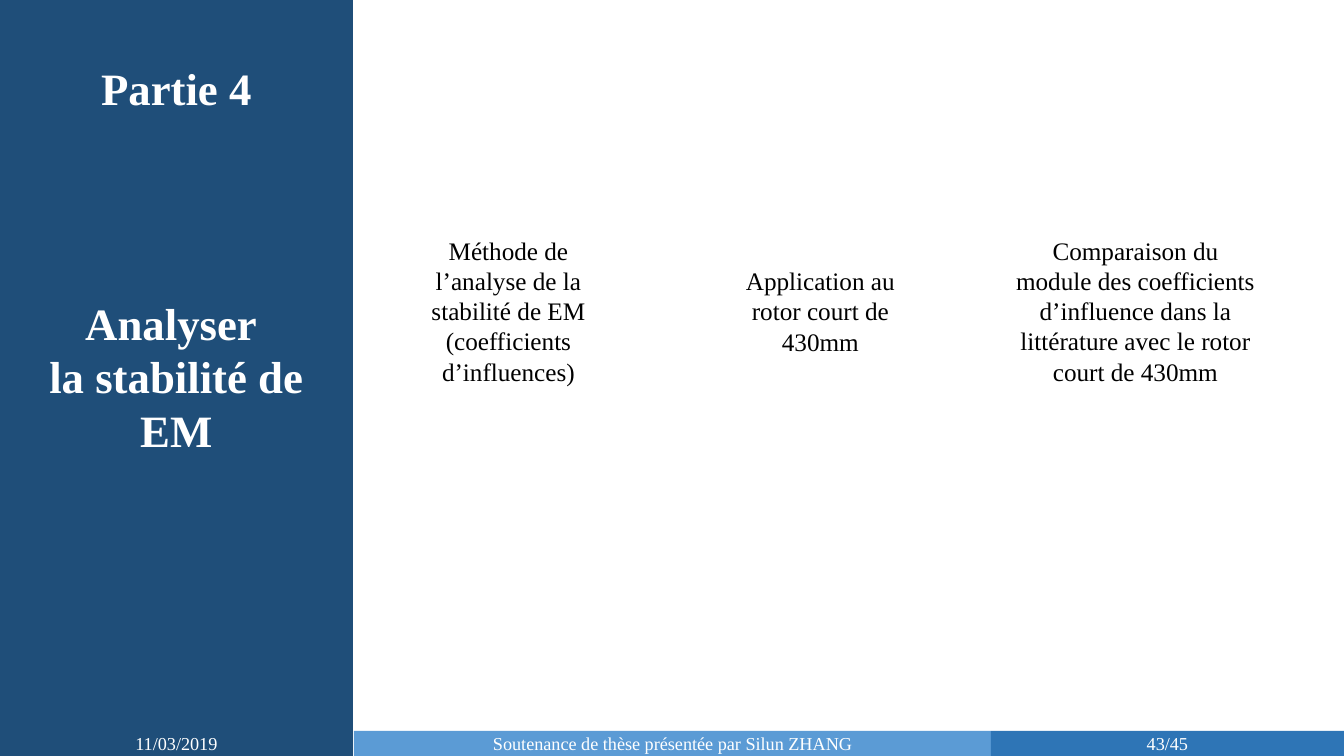
from dataclasses import dataclass

from pptx import Presentation
from pptx.dml.color import RGBColor
from pptx.enum.shapes import MSO_SHAPE
from pptx.enum.text import MSO_ANCHOR, MSO_AUTO_SIZE, PP_ALIGN
from pptx.util import Cm, Pt


@dataclass(frozen=True)
class Theme:
    font: str = "Times New Roman"
    navy: str = "1F4E79"
    blue: str = "2E75B6"
    sky: str = "5B9BD5"
    white: str = "FFFFFF"
    black: str = "000000"
    title: int = 32
    body: int = 18
    footer: int = 13


@dataclass(frozen=True)
class Box:
    left: float
    top: float
    width: float
    height: float

    def lengths(self):
        return Cm(self.left), Cm(self.top), Cm(self.width), Cm(self.height)


THEME = Theme()
PAGE = Box(0, 0, 33.87, 19.05)
SIDEBAR_WIDTH = 8.89
FOOTER_HEIGHT = 0.63


def write(tf, paragraphs, size, color, bold=False):
    for i, text in enumerate(paragraphs):
        p = tf.paragraphs[0] if i == 0 else tf.add_paragraph()
        p.alignment = PP_ALIGN.CENTER
        for j, line in enumerate(text.split("\n")):
            if j:
                p.add_line_break()
            r = p.add_run()
            r.text = line
            r.font.name = THEME.font
            r.font.size = Pt(size)
            r.font.bold = bold
            r.font.color.rgb = RGBColor.from_string(color)


def add_text(slide, box, paragraphs, size, color, bold=False, wrap=True):
    tf = slide.shapes.add_textbox(*box.lengths()).text_frame
    tf.word_wrap = wrap
    tf.auto_size = MSO_AUTO_SIZE.SHAPE_TO_FIT_TEXT
    write(tf, paragraphs, size, color, bold)


def add_bar(slide, box, color):
    sp = slide.shapes.add_shape(MSO_SHAPE.RECTANGLE, *box.lengths())
    sp.shadow.inherit = False
    sp.fill.solid()
    sp.fill.fore_color.rgb = RGBColor.from_string(color)
    sp.line.fill.background()
    return sp


def add_sidebar(slide, box):
    sp = add_bar(slide, box, THEME.navy)
    sp.line.color.rgb = RGBColor.from_string(THEME.navy)
    sp.line.width = Pt(1)
    margin = 0.18
    title = Box(box.left + margin, box.top + 7.32, box.width - 2 * margin, 4.37)
    add_text(slide, title, ["Analyser ", "la stabilité de EM"],
             THEME.title, THEME.white, bold=True)
    width = 4.34
    part = Box(box.left + (box.width - width) / 2, box.top + 1.4, width, 1.63)
    add_text(slide, part, ["Partie 4"], THEME.title, THEME.white,
             bold=True, wrap=False)


def add_footer(slide, box):
    split = 24.97
    gap = 0.03
    middle = SIDEBAR_WIDTH + gap
    cells = [
        (0, SIDEBAR_WIDTH, THEME.navy, "11/03/2019"),
        (middle, split - middle, THEME.sky,
         "Soutenance de thèse présentée par Silun ZHANG"),
        (split, box.width - split, THEME.blue, "43/45"),
    ]
    for offset, width, color, text in cells:
        cell = Box(box.left + offset, box.top, width, box.height)
        tf = add_bar(slide, cell, color).text_frame
        tf.margin_top = tf.margin_bottom = 0
        tf.vertical_anchor = MSO_ANCHOR.MIDDLE
        write(tf, [text], THEME.footer, THEME.white)


def add_topics(slide, box):
    topics = [
        (1.4, 5.05, 4.11, ["Méthode de l’analyse de la stabilité de EM",
                           "(coefficients d’influences)"]),
        (8.76, 6.05, 2.57, ["Application au\nrotor court de 430mm"]),
        (16.36, 6.73, 4.11, ["Comparaison du module des coefficients "
                             "d’influence dans la littérature avec le rotor "
                             "court de 430mm"]),
    ]
    center = box.top + 7.85
    for offset, width, height, paragraphs in topics:
        topic = Box(box.left + offset, center - height / 2, width, height)
        add_text(slide, topic, paragraphs, THEME.body, THEME.black)


def main():
    prs = Presentation()
    prs.slide_width = Cm(PAGE.width)
    prs.slide_height = Cm(PAGE.height)
    slide = prs.slides.add_slide(prs.slide_layouts[6])
    footer_top = PAGE.height - FOOTER_HEIGHT
    add_sidebar(slide, Box(0, 0, SIDEBAR_WIDTH, PAGE.height))
    add_footer(slide, Box(0, footer_top, PAGE.width, FOOTER_HEIGHT))
    add_topics(slide, Box(SIDEBAR_WIDTH, 0, PAGE.width - SIDEBAR_WIDTH, footer_top))
    prs.save("out.pptx")


if __name__ == "__main__":
    main()
